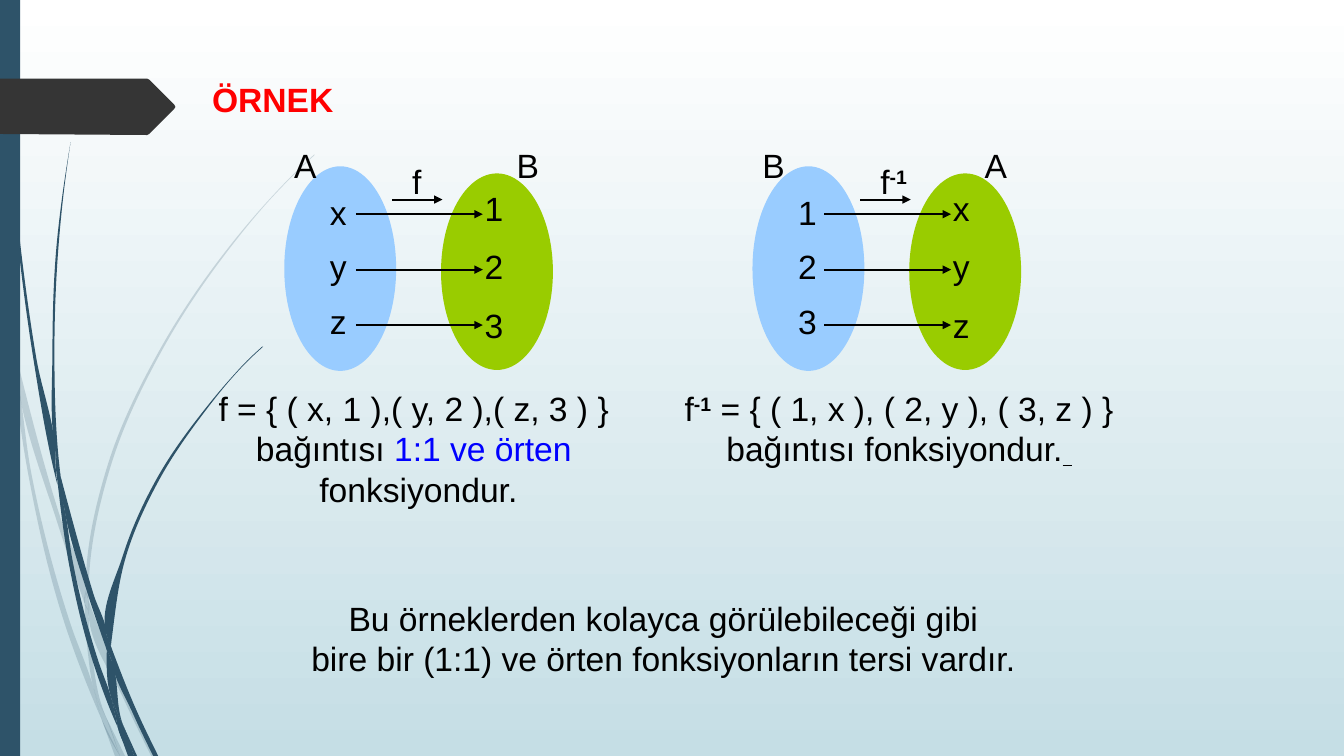
from math import dist
from lxml.etree import SubElement
from pptx import Presentation
from pptx.dml.color import RGBColor
from pptx.enum.shapes import MSO_CONNECTOR, MSO_SHAPE
from pptx.enum.text import MSO_AUTO_SIZE, PP_ALIGN
from pptx.oxml.ns import qn
from pptx.util import Inches, Pt

WIDE, HIGH = 133.33, 75  # slide in grid cells of a tenth of an inch
BLUE, DARK, BLACK = "2E5369", "353535", "000000"
BASE = {"name": "Arial", "size": Pt(24), "bold": False}
SUPER = ("-1", {"bold": True, "raise": 30000})

# Each blade is a closed ring of points.
PALE = [
    [(1.1, 35), (0.9, 32.2), (0, 28.2), (0, 29.9), (1, 34.4)],
    [(1.7, 37.6), (5.8, 52.2), (8.4, 59.9), (8.5, 58.6), (6.2, 52), (1.4, 34.5)],
    [(15.5, 75), (12.7, 69.2), (9.2, 60.7), (8.8, 59.6), (8.8, 61), (12.3, 69.4), (15, 75)],
    [(12.4, 75), (10.5, 71.1), (11.9, 75)],
    [(9.3, 68.3), (7, 61.9), (3.1, 46.9), (1.7, 37.6), (1.1, 35),
     (2.8, 47), (6.5, 62.1), (9.2, 69.3), (10.1, 71.4), (9.9, 70.7)],
    [(8.4, 59.9), (8.7, 64.6), (9.3, 68.3), (9.6, 69.2), (10.5, 71.1),
     (10.3, 70.6), (9.1, 64.6), (8.8, 61), (8.8, 60.8)],
    [(8.8, 59.6), (8.8, 58.4), (11, 46.2), (16, 34.9), (22.9, 24.5), (26.8, 19.8),
     (29, 17.5), (31.2, 15.4), (31.2, 15.3), (28.9, 17.5), (26.8, 19.7), (22.8, 24.4),
     (15.8, 34.8), (10.7, 46.1), (8.5, 58.4), (8.5, 58.6)],
    [(10.1, 71.4), (11.4, 75), (11.9, 75)],
    [(8.8, 60.8), (8.8, 61), (8.8, 59.6), (8.5, 58.6), (8.4, 59.9)],
    [(9.6, 69.2), (9.3, 68.3), (9.9, 70.7), (10.1, 71.4), (11.9, 75), (10.5, 71.1)],
]
DEEP = [
    [(0.3, 0), (0.4, 4.8), (0.7, 11), (1.7, 23.3), (3.3, 35.5), (5.6, 47.7), (5.7, 48.1),
     (5.5, 45.7), (5.5, 45.3), (3.6, 35.5), (1.9, 23.2), (0.8, 10.9), (0.5, 4.8), (0.4, 0)],
    [(6.4, 50.5), (8.8, 59.2), (10.6, 64.5), (10.6, 63.3), (10.6, 63.1), (9.3, 59), (6, 47.2)],
    [(15.7, 75), (13.6, 70.6), (11.3, 64.9), (11, 64.1), (11.1, 65.6), (13.2, 70.8), (15.2, 75)],
    [(11, 69.1), (9.8, 65.7), (7.2, 55.6), (6.4, 50.5), (5.7, 47.7),
     (6.8, 55.7), (9.3, 65.9), (11.1, 70.8), (11.7, 72.2), (11.6, 71.7)],
    [(6, 47.2), (5.8, 45.3), (5.4, 34.9), (5.8, 24.5), (6.3, 19.3), (7, 14.1),
     (6.2, 19.3), (5.6, 24.5), (5.2, 34.9), (5.5, 44.9)],
    [(13.6, 75), (12.2, 71.9), (13.3, 75)],
    [(5.7, 47.7), (6.4, 50.5), (6, 47.2), (5.5, 44.9), (5.5, 45.3)],
    [(11, 64.1), (11.1, 63.3), (12.5, 55.2), (15.8, 47.6), (20.5, 40.6), (23.1, 37.4),
     (24.5, 35.9), (26.1, 34.4), (26, 34.4), (24.5, 35.8), (23.1, 37.3), (20.4, 40.5),
     (15.6, 47.4), (12.2, 55.1), (10.6, 63.1)],
    [(11.7, 72.2), (12.7, 75), (13.1, 75)],
    [(10.6, 64.5), (11, 69.1), (11.6, 70.6), (12.2, 71.9), (12.1, 71.6), (11.1, 65.6), (10.9, 65.1)],
    [(10.6, 64.5), (10.9, 65.1), (11.1, 65.6), (11, 64.1), (10.6, 63.1), (10.6, 63.3)],
    [(11.6, 70.6), (11, 69.1), (11.6, 71.7), (11.7, 72.2), (13, 75), (13.3, 75), (12.2, 71.9)],
]
TAG = [(0, 7.8), (14.6, 7.8), (14.8, 7.9), (17.3, 10.4), (17.4, 10.6),
       (17.3, 10.8), (14.8, 13.3), (14.6, 13.4), (0, 13.3)]


def cell(*sizes):
    """Turn grid cells into slide units."""
    return [Inches(size / 10) for size in sizes]


def color(code):
    return RGBColor.from_string(code)


def paint(shape, code, alpha=None):
    shape.shadow.inherit = False
    shape.fill.solid()
    shape.fill.fore_color.rgb = color(code)
    shape.line.fill.background()
    if alpha:
        tint = shape.fill._xPr.find(".//" + qn("a:srgbClr"))
        SubElement(tint, qn("a:alpha")).set("val", str(alpha * 1000))


def slope(a, b, c):
    """Give the direction of the curve at b, or None at a corner."""
    near, far = dist(a, b), dist(b, c)
    back = [(q - p) / near for p, q in zip(a, b)]
    fore = [(r - q) / far for q, r in zip(b, c)]
    if sum(u * v for u, v in zip(back, fore)) < 0.8:
        return None
    return [(u * far + v * near) / (near + far) for u, v in zip(back, fore)]


def bend(form):
    """Turn the straight sides of a closed form into curves."""
    lines = list(form._element.iter(qn("a:lnTo")))
    ring = [(int(line[0].get("x")), int(line[0].get("y"))) for line in lines]
    slopes = [slope(ring[i - 1], spot, ring[(i + 1) % len(ring)]) for i, spot in enumerate(ring)]
    for i, line in enumerate(lines):
        start, end = ring[i - 1], ring[i]
        third = dist(start, end) / 3
        chord = [(q - p) / third / 3 for p, q in zip(start, end)]
        first, last = slopes[i - 1], slopes[i]
        leave = first or [(3 * u - v) / 2 for u, v in zip(chord, last or chord)]
        reach = last or [(3 * u - v) / 2 for u, v in zip(chord, first or chord)]
        pulls = ([p + third * u for p, u in zip(start, leave)],
                 [q - third * u for q, u in zip(end, reach)])
        line.tag = qn("a:cubicBezTo")
        for place, (x, y) in enumerate(pulls):
            knot = SubElement(line, qn("a:pt"))
            knot.set("x", str(round(x)))
            knot.set("y", str(round(y)))
            line.insert(place, knot)


def outline(shapes, points, code, alpha=None, curved=False):
    spots = [cell(*point) for point in points]
    form = shapes.build_freeform(*spots[0])
    form.add_line_segments(spots[1:] + spots[:1], close=True)
    shape = form.convert_to_shape()
    paint(shape, code, alpha)
    if curved:
        bend(shape)


def solid(shapes, kind, box, code):
    paint(shapes.add_shape(kind, *cell(*box)), code)


def text(shapes, box, paras, align=PP_ALIGN.CENTER, wrap=True):
    """Write paragraphs, each a list of (words, format) runs."""
    frame = shapes.add_textbox(*cell(*box)).text_frame
    frame.word_wrap = wrap
    frame.auto_size = MSO_AUTO_SIZE.SHAPE_TO_FIT_TEXT
    for i, runs in enumerate(paras):
        para = frame.add_paragraph() if i else frame.paragraphs[0]
        para.alignment = align
        for words, extra in runs:
            run = para.add_run()
            run.text = words
            style = {"color": BLACK, **BASE, **extra}
            run.font.color.rgb = color(style.pop("color"))
            lift = style.pop("raise", None)
            for key, value in style.items():
                setattr(run.font, key, value)
            if lift:
                run.font._element.set("baseline", str(lift))


def arrow(shapes, left, top, width):
    link = shapes.add_connector(MSO_CONNECTOR.STRAIGHT, *cell(left, top, left + width, top))
    link.line.color.rgb = color(BLACK)
    link.line.width = Pt(1.5)
    SubElement(link.line._get_or_add_ln(), qn("a:tailEnd")).set("type", "triangle")
    SubElement(link._element.spPr, qn("a:effectLst"))


def mapping(slide, left, sets, pairs, name, span):
    """Draw two sets with an arrow for each pair; span is the width of the name."""
    shapes = slide.shapes.add_group_shape().shapes
    solid(shapes, MSO_SHAPE.OVAL, (left + 15.55, 17.2, 11.1, 19.5), "99CC00")
    solid(shapes, MSO_SHAPE.OVAL, (left, 16.5, 11.1, 20.3), "99CCFF")
    for label, shift in zip(sets, (0, 22.05)):
        text(shapes, (left + shift, 13.9, 4.2, 5.1), [[(label, {})]], wrap=False)
    text(shapes, (left + 11.7, 15.5, span, 5), [name], PP_ALIGN.LEFT, False)
    arrow(shapes, left + 10.7, 19.8, 5)
    for i, (start, end) in enumerate(pairs):
        for sign, shift, top in ((start, 3.55, 18.55 + 5.4 * i), (end, 18.9, 18.15 + 5.8 * i)):
            text(shapes, (left + shift, top, 3.8, 5), [[(sign, {})]], PP_ALIGN.LEFT, False)
        arrow(shapes, left + 7.1, 21.25 + 5.5 * i, 12.6)


def backdrop(slide):
    fill = slide.background.fill
    fill.gradient()
    fill.gradient_angle = 270
    for stop, code, place in zip(fill.gradient_stops, ("FFFFFF", "C5DEE5"), (0, 1)):
        stop.color.rgb = color(code)
        stop.position = place
    for blades, alpha in ((PALE, 20), (DEEP, None)):
        shapes = slide.shapes.add_group_shape().shapes
        for blade in blades:
            outline(shapes, blade, BLUE, alpha, True)
    solid(slide.shapes, MSO_SHAPE.RECTANGLE, (0, 0, 2, HIGH), BLUE)
    outline(slide.shapes, TAG, DARK)


def main():
    deck = Presentation()
    deck.slide_width, deck.slide_height = cell(WIDE, HIGH)
    slide = deck.slides.add_slide(deck.slide_layouts[6])
    backdrop(slide)
    text(slide.shapes, (20.05, 7.3, 15.1, 5),
         [[("ÖRNEK", {"color": "FF0000", "bold": True})]], PP_ALIGN.LEFT)
    text(slide.shapes, (20.2, 38, 41.7, 13.2), [
        [("f = { ( x, 1 ),( y, 2 ),( z, 3 ) } bağıntısı ", {}),
         ("1:1 ve örten", {"color": "0000FF"})],
        [(" fonksiyondur.", {})]])
    text(slide.shapes, (66.7, 38, 45, 9.1), [
        [("f", {}), SUPER, (" = { ( 1, x ), ( 2, y ), ( 3, z ) } bağıntısı fonksiyondur.", {}),
         (" ", {"underline": True})]])
    text(slide.shapes, (20.05, 58.8, 91.5, 9.1), [
        [("Bu örneklerden kolayca görülebileceği gibi", {})],
        [("bire bir (1:1) ve örten fonksiyonların tersi vardır.", {})]])
    pairs = list(zip("xyz", "123"))
    mapping(slide, 28.2, "AB", pairs, [("f", {})], 2.9)
    mapping(slide, 74.65, "BA", [(b, a) for a, b in pairs], [("f", {}), SUPER], 4.9)
    deck.save("out.pptx")


if __name__ == "__main__":
    main()
